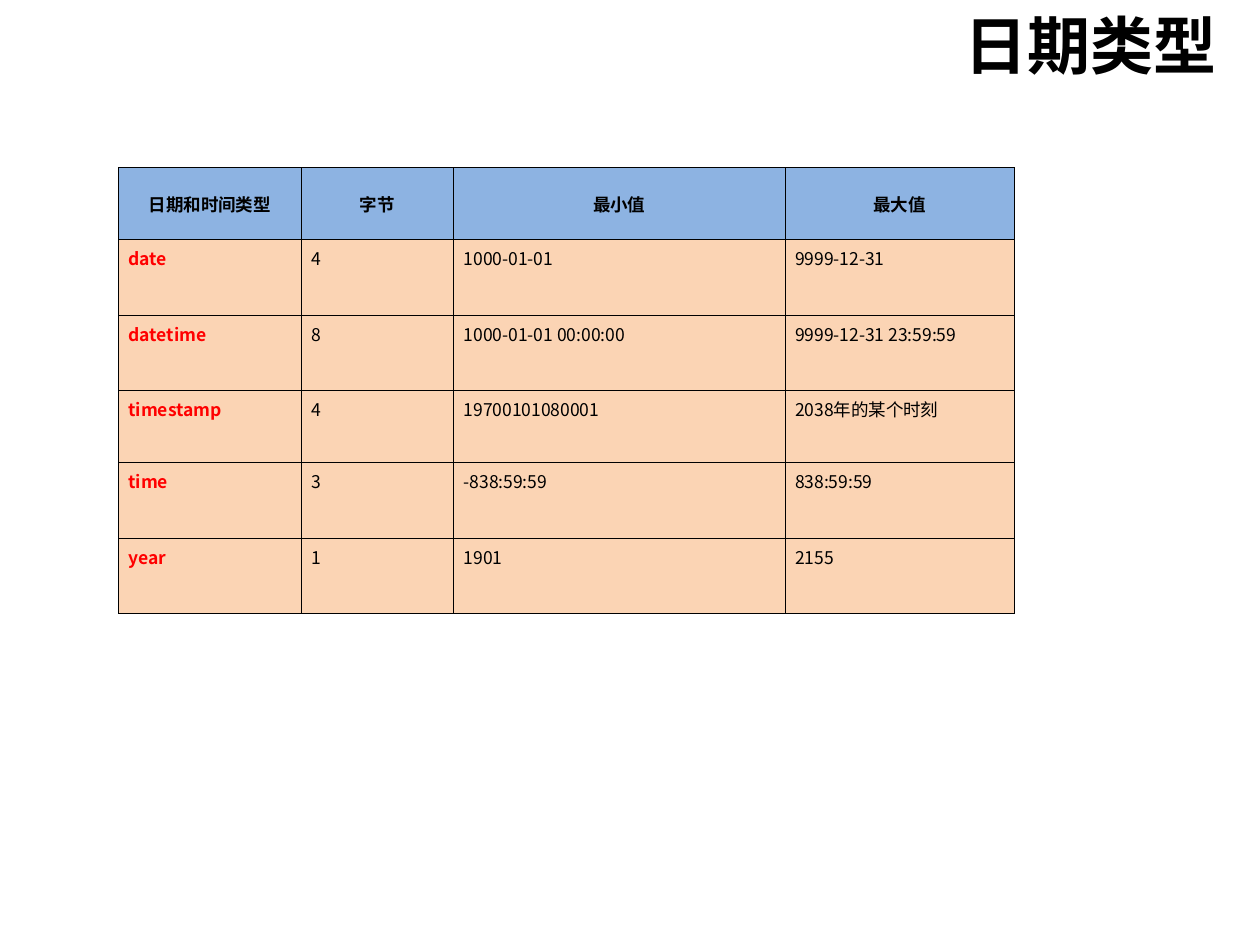
import dataclasses

import lxml.etree
import pptx
import pptx.dml.color
import pptx.enum.text
import pptx.oxml.ns
import pptx.util

Inches = pptx.util.Inches
Align = pptx.enum.text.PP_ALIGN
Anchor = pptx.enum.text.MSO_ANCHOR
qn = pptx.oxml.ns.qn


@dataclasses.dataclass(frozen=True)
class Theme:
    """Colours, fonts and type sizes of the slide."""
    text: str = "000000"
    type_name: str = "FF0000"
    header_fill: str = "8DB3E2"
    body_fill: str = "FBD4B4"
    heading_font: str = "Calibri"
    body_font: str = "Noto Sans CJK SC"
    title_size: int = 36
    table_size: int = 10
    border_width: float = 0.45


THEME = Theme()
HEADERS = ["日期和时间类型", "字节", "最小值", "最大值"]
DATE_TYPES = [
    ["date", "4", "1000-01-01", "9999-12-31"],
    ["datetime", "8", "1000-01-01 00:00:00", "9999-12-31 23:59:59"],
    ["timestamp", "4", "19700101080001", ("2038", "年的某个时刻")],
    ["time", "3", "-838:59:59", "838:59:59"],
    ["year", "1", "1901", "2155"],
]
COLUMN_WIDTHS = [1.45, 1.21, 2.63, 1.82]
ROW_HEIGHTS = [0.57, 0.6, 0.6, 0.57, 0.6, 0.6]


def add_run(paragraph, text, size, font_name, color=THEME.text, bold=False):
    """Append one styled run to the paragraph."""
    run = paragraph.add_run()
    run.text = text
    run.font.size = pptx.util.Pt(size)
    run.font.name = font_name
    run.font.bold = bold
    run.font.color.rgb = pptx.dml.color.RGBColor.from_string(color)
    east_asian = lxml.etree.SubElement(run.font._element, qn("a:ea"))
    east_asian.set("typeface", THEME.body_font)


def add_title(slide, left, top, width, height, text):
    """Place the right-aligned slide title in the given box."""
    shape = slide.shapes.add_textbox(Inches(left), Inches(top), Inches(width), Inches(height))
    shape.text_frame.word_wrap = True
    paragraph = shape.text_frame.paragraphs[0]
    paragraph.alignment = Align.RIGHT
    add_run(paragraph, text, THEME.title_size, THEME.heading_font, bold=True)


def set_borders(cell):
    """Draw a thin solid line on all four sides of the cell."""
    properties = cell._tc.get_or_add_tcPr()
    for index, side in enumerate(("a:lnL", "a:lnR", "a:lnT", "a:lnB")):
        line = properties.makeelement(qn(side), {"w": str(pptx.util.Pt(THEME.border_width))})
        fill = lxml.etree.SubElement(line, qn("a:solidFill"))
        lxml.etree.SubElement(fill, qn("a:srgbClr"), val=THEME.text)
        properties.insert(index, line)


def style_cell(cell, fill_color):
    """Set the margins, fill and borders of a cell."""
    cell.margin_left = cell.margin_right = Inches(0.08)
    cell.margin_top = cell.margin_bottom = Inches(0.05)
    cell.fill.solid()
    cell.fill.fore_color.rgb = pptx.dml.color.RGBColor.from_string(fill_color)
    set_borders(cell)


def fill_header_cell(cell, text):
    """Write a centred bold column heading."""
    style_cell(cell, THEME.header_fill)
    cell.vertical_anchor = Anchor.MIDDLE
    paragraph = cell.text_frame.paragraphs[0]
    paragraph.alignment = Align.CENTER
    add_run(paragraph, text, THEME.table_size, THEME.heading_font, bold=True)


def fill_body_cell(cell, value, is_type_name):
    """Write a body value, with type names bold and red."""
    style_cell(cell, THEME.body_fill)
    paragraph = cell.text_frame.paragraphs[0]
    paragraph.alignment = Align.JUSTIFY
    color = THEME.type_name if is_type_name else THEME.text
    for part in (value if isinstance(value, tuple) else (value,)):
        font_name = THEME.body_font if part.isascii() else THEME.heading_font
        add_run(paragraph, part, THEME.table_size, font_name, color, is_type_name)


def add_type_table(slide, left, top, column_widths, row_heights):
    """Place the table of date types with its top left corner at the given point."""
    frame = slide.shapes.add_table(
        len(row_heights), len(column_widths), Inches(left), Inches(top),
        Inches(sum(column_widths)), Inches(sum(row_heights)))
    table = frame.table
    table.horz_banding = False
    for column, width in zip(table.columns, column_widths):
        column.width = Inches(width)
    for row, height in zip(table.rows, row_heights):
        row.height = Inches(height)
    for column_index, text in enumerate(HEADERS):
        fill_header_cell(table.cell(0, column_index), text)
    for row_index, values in enumerate(DATE_TYPES, start=1):
        for column_index, value in enumerate(values):
            fill_body_cell(table.cell(row_index, column_index), value, column_index == 0)


def main():
    """Build and save the presentation."""
    presentation = pptx.Presentation()
    presentation.slide_width = Inches(10)
    presentation.slide_height = Inches(7.5)
    slide = presentation.slides.add_slide(presentation.slide_layouts[6])
    add_title(slide, 1.33, 0, 8.42, 1.57, "日期类型")
    add_type_table(slide, 0.94, 1.33, COLUMN_WIDTHS, ROW_HEIGHTS)
    presentation.save("out.pptx")


if __name__ == "__main__":
    main()
